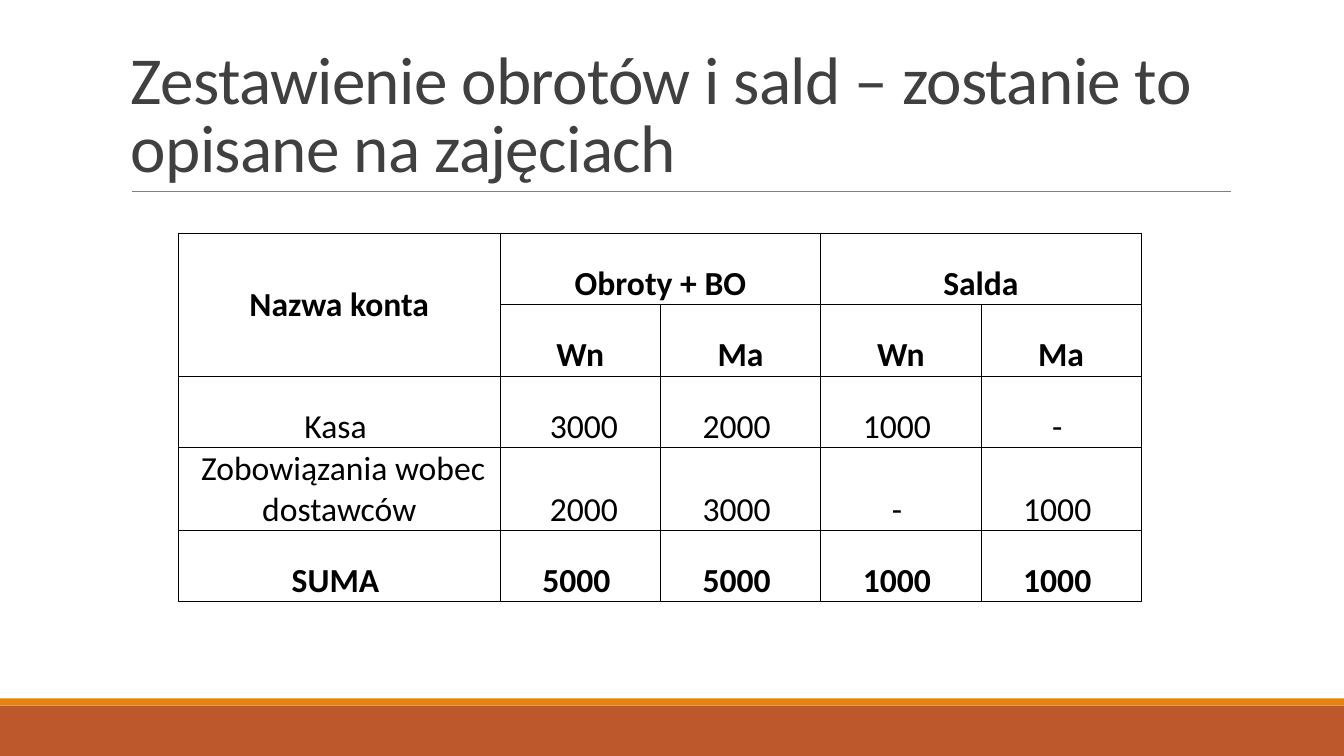
"""Builds a slide with a trial balance table of turnovers and balances."""
from lxml.etree import SubElement
from pptx import Presentation
from pptx.dml.color import RGBColor
from pptx.enum.shapes import MSO_CONNECTOR, MSO_SHAPE
from pptx.enum.text import MSO_ANCHOR as Anchor, PP_ALIGN as Align
from pptx.oxml.ns import qn
from pptx.util import Inches, Pt

BLACK = RGBColor(0x00, 0x00, 0x00)
DARK_GREY = RGBColor(0x40, 0x40, 0x40)
GREY = RGBColor(0x80, 0x80, 0x80)
RUST = RGBColor(0xBD, 0x58, 0x2C)
ORANGE = RGBColor(0xE4, 0x83, 0x12)

WIDTH, HEIGHT = 13.33, 7.5
TITLE = "Zestawienie obrotów i sald – zostanie to opisane na zajęciach"
BALANCE = [
    ["Nazwa konta", "Obroty + BO", "", "Salda", ""],
    ["", "Wn", "Ma", "Wn", "Ma"],
    ["Kasa ", " 3000", "2000 ", "1000 ", "- "],
    [" Zobowiązania wobec dostawców", " 2000", "3000 ", "- ", "1000 "],
    ["SUMA ", "5000 ", "5000 ", "1000 ", "1000 "],
]
BOLD_ROWS = {0, 1, 4}
MERGES = [((0, 0), (1, 0)), ((0, 1), (0, 2)), ((0, 3), (0, 4))]
COLUMN_WIDTHS = [3.19] + [1.59] * 4
ROW_HEIGHTS = [0.71, 0.71, 0.71, 0.82, 0.71]
BANDS = [(7, 0.5, RUST), (6.93, 0.07, ORANGE)]


def write(frame, text, size=24, color=BLACK, bold=False, align=Align.CENTER,
          line_spacing=1.0, tracking=0):
    frame.word_wrap = True
    paragraph = frame.paragraphs[0]
    paragraph.alignment = align
    paragraph.line_spacing = line_spacing
    run = paragraph.add_run()
    run.text = text
    run.font.name = "Calibri"
    run.font.size = Pt(size)
    run.font.bold = bold
    run.font.color.rgb = color
    if tracking:
        run.font._element.set("spc", str(tracking))


def outline(cell):
    properties = cell._tc.get_or_add_tcPr()
    for position, side in enumerate(("a:lnL", "a:lnR", "a:lnT", "a:lnB")):
        border = properties.makeelement(qn(side), {"w": str(Pt(0.5))})
        fill = SubElement(border, qn("a:solidFill"))
        SubElement(fill, qn("a:srgbClr"), val=str(BLACK))
        properties.insert(position, border)


def add_decor(slide):
    for top, height, color in BANDS:
        band = slide.shapes.add_shape(MSO_SHAPE.RECTANGLE, 0, Inches(top),
                                      Inches(WIDTH), Inches(height))
        band.shadow.inherit = False
        band.fill.solid()
        band.fill.fore_color.rgb = color
        band.line.fill.background()
    rule = slide.shapes.add_connector(MSO_CONNECTOR.STRAIGHT, Inches(1.31),
                                      Inches(1.9), Inches(12.21), Inches(1.9))
    rule.line.color.rgb = GREY
    rule.line.width = Pt(0.5)
    SubElement(rule._element.spPr, qn("a:effectLst"))


def add_title(slide):
    title = slide.shapes.add_textbox(Inches(1.2), Inches(0.31),
                                     Inches(11), Inches(1.59)).text_frame
    title.vertical_anchor = Anchor.BOTTOM
    write(title, TITLE, size=48, color=DARK_GREY, align=Align.LEFT,
          line_spacing=0.85, tracking=-50)


def add_balance(slide):
    table = slide.shapes.add_table(
        len(BALANCE), len(COLUMN_WIDTHS), Inches(1.77), Inches(2.31),
        Inches(sum(COLUMN_WIDTHS)), Inches(sum(ROW_HEIGHTS))).table
    table.first_row = table.horz_banding = False
    for column, width in zip(table.columns, COLUMN_WIDTHS):
        column.width = Inches(width)
    for row, height in zip(table.rows, ROW_HEIGHTS):
        row.height = Inches(height)
    for first, last in MERGES:
        table.cell(*first).merge(table.cell(*last))
    for r, entries in enumerate(BALANCE):
        for c, entry in enumerate(entries):
            cell = table.cell(r, c)
            cell.fill.background()
            outline(cell)
            cell.margin_left = cell.margin_right = cell.margin_top = Inches(0.01)
            cell.margin_bottom = 0
            cell.vertical_anchor = Anchor.MIDDLE if (r, c) == (0, 0) else Anchor.BOTTOM
            if entry:
                write(cell.text_frame, entry, bold=r in BOLD_ROWS)


def main():
    deck = Presentation()
    deck.slide_width, deck.slide_height = Inches(WIDTH), Inches(HEIGHT)
    slide = deck.slides.add_slide(deck.slide_layouts[6])
    add_decor(slide)
    add_title(slide)
    add_balance(slide)
    deck.save("out.pptx")


if __name__ == "__main__":
    main()
